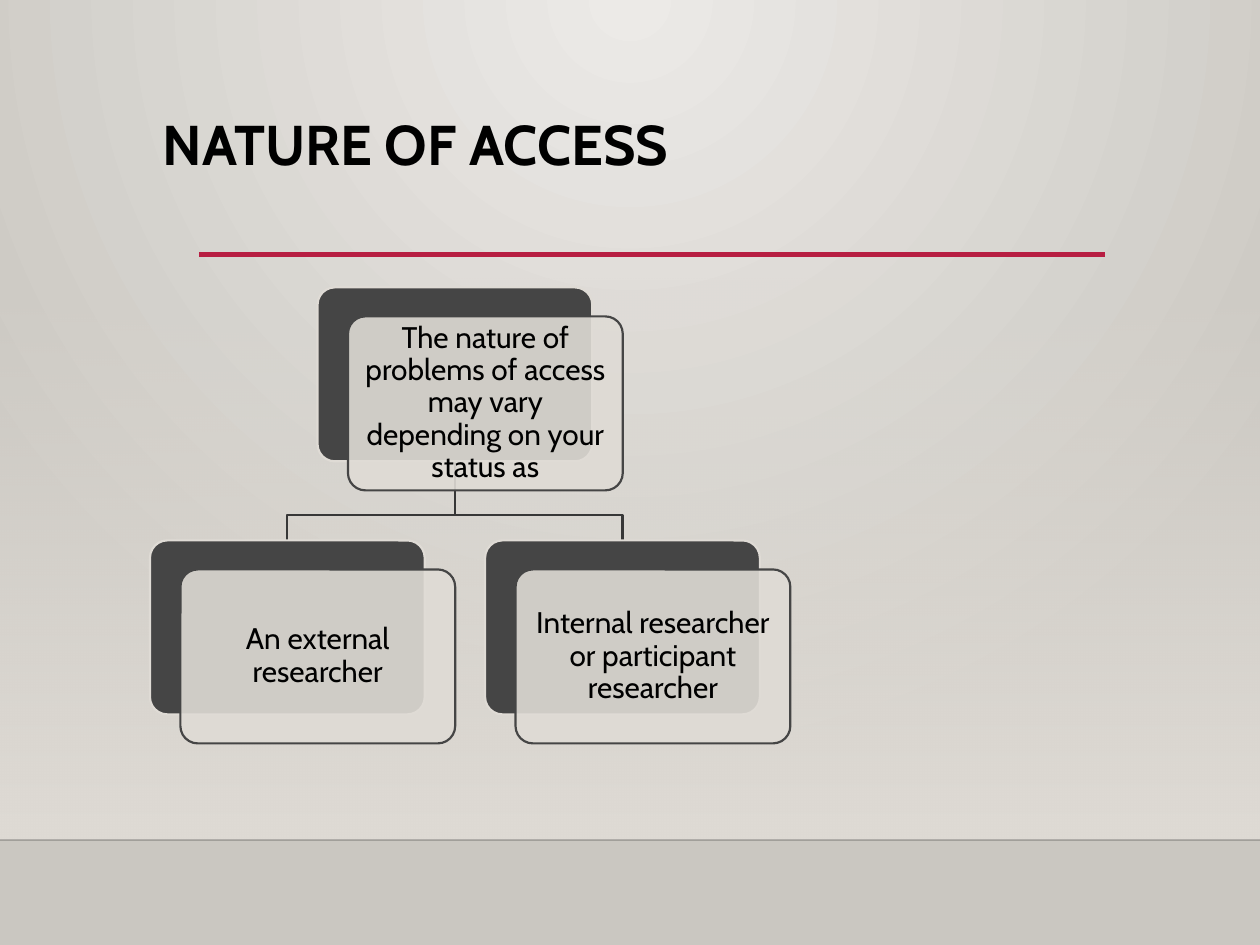
from lxml.etree import SubElement
from pptx import Presentation
from pptx.dml.color import RGBColor
from pptx.enum.shapes import MSO_CONNECTOR, MSO_SHAPE
from pptx.enum.text import MSO_ANCHOR, MSO_AUTO_SIZE, PP_ALIGN
from pptx.oxml import parse_xml
from pptx.oxml.ns import qn
from pptx.util import Pt

DRAWING_NS = "http://schemas.openxmlformats.org/drawingml/2006/main"
SAND, CHARCOAL, BLACK = "DFDBD5", "454545", "000000"


def paint(color_format, color):
    color_format.rgb = RGBColor.from_string(color)


def set_opacity(color_element, percent):
    SubElement(color_element, qn("a:alpha")).set("val", str(percent * 1000))


prs = Presentation()
prs.slide_width, prs.slide_height = Pt(720), Pt(540)
slide = prs.slides.add_slide(prs.slide_layouts[5])
shapes = slide.shapes

# Background: a glow from the top centre
backdrop = slide.background.fill
backdrop.gradient()
for stop, color in zip(backdrop.gradient_stops, ("ECEAE7", "CAC7C1")):
    paint(stop.color, color)
direction = slide.element.xpath(".//a:lin")[0]
direction.getparent().replace(direction, parse_xml(
    f'<a:path xmlns:a="{DRAWING_NS}" path="circle">'
    '<a:fillToRect l="43000" t="0" r="43000" b="100000"/></a:path>'))

# Wall fading in towards the floor line
wall = shapes.add_shape(MSO_SHAPE.RECTANGLE, Pt(0), Pt(158.4), Pt(720), Pt(321.6))
wall.shadow.inherit = False
wall.line.fill.background()
wall.fill.gradient()
wall.fill.gradient_angle = 270
for stop in wall.fill.gradient_stops:
    paint(stop.color, SAND)
set_opacity(wall.element.xpath(".//a:gs/a:srgbClr")[0], 0)

# Floor line and title rule
for left, right, y, color, width, opacity in (
    (0, 720, 480, "000001", 1, 20),
    (113.8, 631.4, 145.4, "B71E42", 2.5, 100),
):
    rule = shapes.add_connector(MSO_CONNECTOR.STRAIGHT, Pt(left), Pt(y), Pt(right), Pt(y))
    paint(rule.line.color, color)
    rule.line.width = Pt(width)
    set_opacity(rule.element.xpath(".//a:ln//a:srgbClr")[0], opacity)
    SubElement(rule.element.spPr, qn("a:effectLst"))

# Title
title = shapes.title
title.left, title.top, title.width, title.height = Pt(85.7), Pt(63.4), Pt(567.4), Pt(82.8)
title.text = "NATURE OF ACCESS"
title.text_frame.auto_size = MSO_AUTO_SIZE.NONE
title.text_frame.vertical_anchor = MSO_ANCHOR.TOP
heading = title.text_frame.paragraphs[0]
heading.alignment = PP_ALIGN.LEFT
heading.line_spacing = 0.9
for key, value in {"name": "Cabin", "size": Pt(32), "bold": True}.items():
    setattr(heading.font, key, value)
paint(heading.font.color, BLACK)

# Hierarchy: one parent centred above two children
CARD_W, CARD_H = 157, 99.4
SHIFT_X, SHIFT_Y = 17.4, 16.6
PARENT_TOP, CHILD_TOP = 164.2, 308.8
CHILD_LEFT, CHILD_STEP = 85.7, 191.5
parent_left = CHILD_LEFT + CHILD_STEP / 2
child_lefts = [CHILD_LEFT, CHILD_LEFT + CHILD_STEP]

trunk_x, trunk_top, branch_y = parent_left + CARD_W / 2, PARENT_TOP + CARD_H, 294.5
for left in reversed(child_lefts):
    child_x = left + CARD_W / 2
    branch = shapes.build_freeform(Pt(trunk_x), Pt(trunk_top))
    branch.add_line_segments(
        [(Pt(trunk_x), Pt(branch_y)), (Pt(child_x), Pt(branch_y)), (Pt(child_x), Pt(CHILD_TOP))],
        close=False)
    link = branch.convert_to_shape()
    link.shadow.inherit = False
    link.fill.background()
    paint(link.line.color, "373737")
    link.line.width = Pt(1.25)

for left, top, label in (
    (parent_left, PARENT_TOP,
     "The nature of problems of access may vary depending on your status as"),
    (child_lefts[0], CHILD_TOP, "An external researcher"),
    (child_lefts[1], CHILD_TOP, "Internal researcher or participant researcher"),
):
    for dx, dy, fill, outline in (
        (0, 0, CHARCOAL, SAND),
        (SHIFT_X, SHIFT_Y, SAND, CHARCOAL),
    ):
        card = shapes.add_shape(MSO_SHAPE.ROUNDED_RECTANGLE, Pt(left + dx), Pt(top + dy),
                                Pt(CARD_W), Pt(CARD_H))
        card.adjustments[0] = 0.1
        card.shadow.inherit = False
        card.fill.solid()
        paint(card.fill.fore_color, fill)
        paint(card.line.color, outline)
        card.line.width = Pt(1.25)

    # The front card of each pair is translucent and carries the label
    set_opacity(card.element.xpath("./p:spPr/a:solidFill/a:srgbClr")[0], 90)
    frame = card.text_frame
    for key, value in {"word_wrap": True, "vertical_anchor": MSO_ANCHOR.MIDDLE,
                       "margin_left": Pt(5), "margin_right": Pt(5),
                       "margin_top": Pt(5), "margin_bottom": Pt(5)}.items():
        setattr(frame, key, value)
    frame.text = label
    paragraph = frame.paragraphs[0]
    paragraph.alignment = PP_ALIGN.CENTER
    paragraph.line_spacing = 0.9
    paragraph.font.name, paragraph.font.size = "Cabin", Pt(17)
    paint(paragraph.font.color, BLACK)

prs.save("out.pptx")
